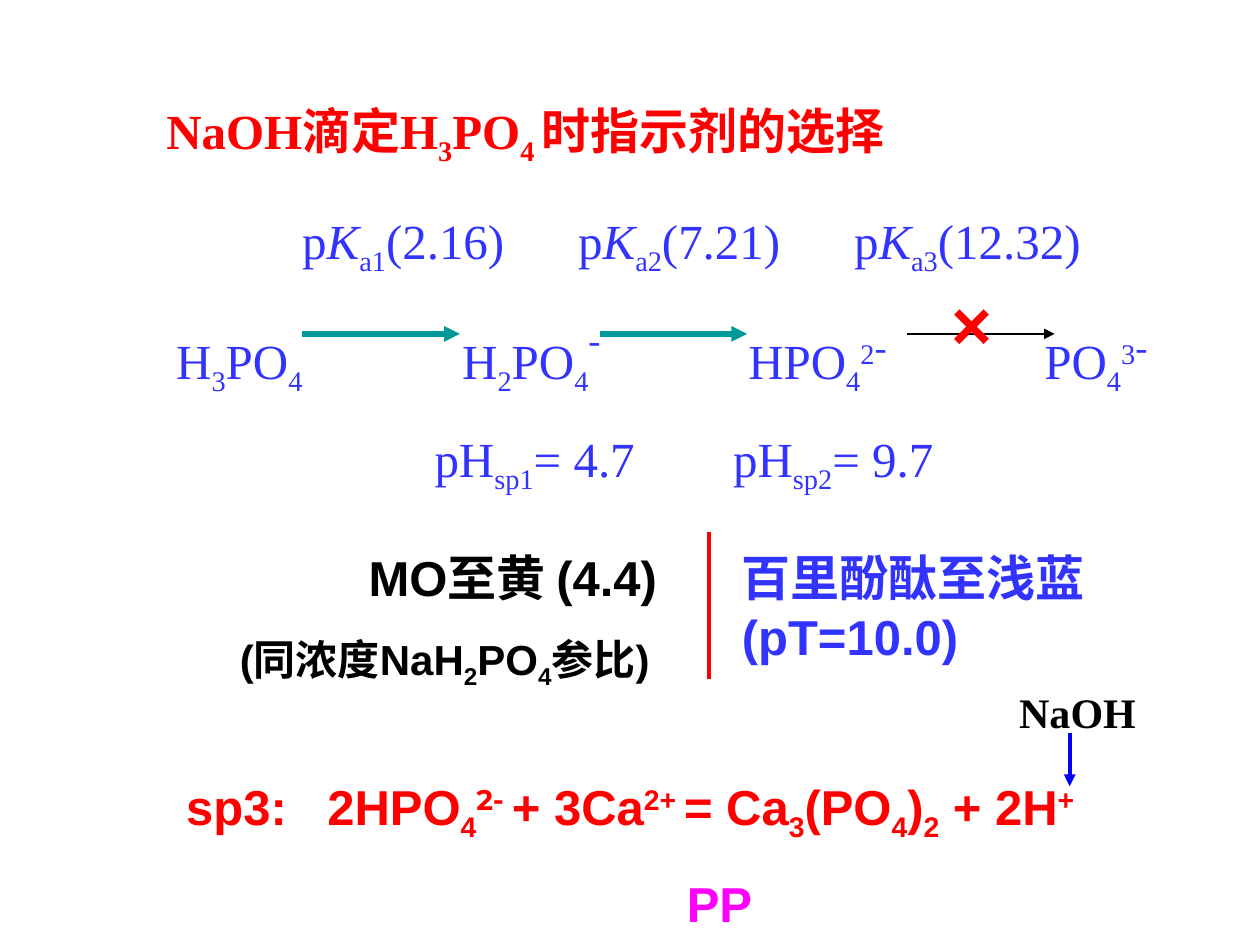
from lxml import etree
from pptx import Presentation
from pptx.dml.color import RGBColor
from pptx.enum.shapes import MSO_CONNECTOR
from pptx.enum.text import MSO_ANCHOR, MSO_AUTO_SIZE, PP_ALIGN
from pptx.oxml.ns import qn
from pptx.util import Inches, Pt

COLORS = {"red": "FF0000", "blue": "3333FF", "teal": "009999", "black": "000000",
          "pure_blue": "0000FF", "magenta": "FF00FF"}
SERIF, SANS = "Times New Roman", "Arial"

# Run styles: baseline shift in thousandths of a percent, then font values
STYLES = {
    "": (0, {}),
    "sub": (-25000, {}),
    "sup": (30000, {}),
    "sup_alt": (30000, {"name": "Montserrat"}),
    "minus": (30000, {"size": Pt(36)}),
    "high_minus": (42000, {"size": Pt(36)}),
    "italic": (0, {"italic": True}),
}

# Content: a paragraph is a list of (text, style) runs plus its layout values
TITLE = [("NaOH滴定H", ""), ("3", "sub"), ("PO", ""), ("4 ", "sub"), ("时指示剂的选择", "")]

CONSTANTS = [("a1", "(2.16)"), ("a2", "(7.21)"), ("a3", "(12.32)")]
SPECIES = [
    [("H", ""), ("3", "sub"), ("PO", ""), ("4", "sub")],
    [("H", ""), ("2", "sub"), ("PO", ""), ("4", "sub"), ("-", "high_minus")],
    [("HPO", ""), ("4", "sub"), ("2", "sup"), ("-", "minus")],
    [("PO", ""), ("4", "sub"), ("3", "sup"), ("-", "minus")],
]
END_POINTS = [("sp1", "= 4.7"), ("sp2", "= 9.7")]


def tabbed(cells):
    """Join cells into one row, each starting at its own tab stop."""
    return [run for cell in cells for run in [("\t", "")] + cell]


SCHEME = [
    {"runs": tabbed([[("p", ""), ("K", "italic"), (name, "sub"), (value, "")]
                     for name, value in CONSTANTS]), "tabs": [1.08, 3.27, 5.46]},
    {"runs": tabbed(SPECIES), "tabs": [0.08, 2.35, 4.62, 6.97], "before": 22.5},
    {"runs": tabbed([[("pH", ""), (name, "sub"), (value, "")]
                     for name, value in END_POINTS]), "tabs": [2.13, 4.5], "before": 17.5},
]

METHYL_ORANGE = [
    {"runs": [("MO至黄 (4.4)", "")], "align": PP_ALIGN.CENTER, "left": 1.08},
    {"runs": [("(同浓度NaH", ""), ("2", "sub"), ("PO", ""), ("4", "sub"), ("参比)", "")],
     "align": PP_ALIGN.CENTER, "before": 15, "size": 24},
]

REACTION = [{"runs": [
    ("sp3:\t2HPO", ""), ("4", "sub"), ("2- ", "sup_alt"), ("+ 3Ca", ""), ("2+ ", "sup"),
    ("= Ca", ""), ("3", "sub"), ("(PO", ""), ("4", "sub"), (")", ""), ("2", "sub"),
    (" + 2H", ""), ("+", "sup")], "tabs": [1.12]}]


def single(text, align=PP_ALIGN.LEFT):
    return [{"runs": [(text, "")], "align": align}]


# (paragraphs, box, font, size, colour, bold)
LABELS = [
    (SCHEME, (1.22, 1.62, 8.78, 2.17), SERIF, 28, "blue", False),
    (REACTION, (1.38, 6.11, 8.17, 0.63), SANS, 28, "red", True),
    (single("百里酚酞至浅蓝 (pT=10.0)"), (5.79, 4.3, 3.58, 1.04), SANS, 28, "blue", True),
    (METHYL_ORANGE, (1.53, 4.3, 4, 1.84), SANS, 28, "black", True),
    (single("×", PP_ALIGN.CENTER), (7.2, 2.18, 1.02, 0.77), SANS, 40, "red", True),
    (single("PP", PP_ALIGN.CENTER), (5, 6.88, 1.42, 0.57), SANS, 28, "magenta", True),
]

# (start, end, colour, width, arrowhead)
ARROW_Y = 2.65
LINES = [
    ((5.63, 4.22), (5.63, 5.39), "red", 2.25, False),
    ((2.4, ARROW_Y), (3.65, ARROW_Y), "teal", 3, True),
    ((4.76, ARROW_Y), (5.93, ARROW_Y), "teal", 3, True),
    ((7.2, ARROW_Y), (8.37, ARROW_Y), "black", 0.75, True),
]


def add_runs(paragraph, runs, font, size, color, bold):
    for text, style in runs:
        baseline, extra = STYLES[style]
        run = paragraph.add_run()
        run.text = text
        values = {"name": font, "size": Pt(size), "bold": bold, **extra}
        for attribute, value in values.items():
            setattr(run.font, attribute, value)
        run.font.color.rgb = RGBColor.from_string(COLORS[color])
        if baseline:
            run._r.get_or_add_rPr().set("baseline", str(baseline))


def write(shape, paragraphs, font, size, color, bold=True, anchor=MSO_ANCHOR.TOP):
    frame = shape.text_frame
    frame.word_wrap = True
    frame.auto_size = MSO_AUTO_SIZE.NONE
    frame.vertical_anchor = anchor
    for index, item in enumerate(paragraphs):
        paragraph = frame.add_paragraph() if index else frame.paragraphs[0]
        properties = paragraph._p.get_or_add_pPr()
        if "left" in item:
            properties.set("marL", str(Inches(item["left"])))
        if "tabs" in item:
            stops = etree.SubElement(properties, qn("a:tabLst"))
            for position in item["tabs"]:
                etree.SubElement(stops, qn("a:tab"), pos=str(Inches(position)), algn="l")
        paragraph.alignment = item.get("align", PP_ALIGN.LEFT)
        if "before" in item:
            paragraph.space_before = Pt(item["before"])
        add_runs(paragraph, item["runs"], font, item.get("size", size), color, bold)


def add_label(shapes, paragraphs, box, font, size, color, bold):
    write(shapes.add_textbox(*map(Inches, box)), paragraphs, font, size, color, bold)


def add_line(shapes, start, end, color, width, arrowhead):
    line = shapes.add_connector(MSO_CONNECTOR.STRAIGHT, *map(Inches, start + end))
    line.line.color.rgb = RGBColor.from_string(COLORS[color])
    line.line.width = Pt(width)
    if arrowhead:
        etree.SubElement(line.line._get_or_add_ln(), qn("a:tailEnd"), type="triangle")
    etree.SubElement(line._element.spPr, qn("a:effectLst"))


def main():
    presentation = Presentation()
    presentation.slide_width, presentation.slide_height = Inches(10), Inches(7.5)
    slide = presentation.slides.add_slide(presentation.slide_layouts[5])
    shapes = slide.shapes

    # Title
    title = shapes.title
    title_box = {"left": 1.22, "top": 0.68, "width": 8.5, "height": 0.77}
    for side, value in title_box.items():
        setattr(title, side, Inches(value))
    write(title, [{"runs": TITLE}], SERIF, 28, "red", anchor=MSO_ANCHOR.MIDDLE)

    # Divider and reaction arrows
    for line in LINES:
        add_line(shapes, *line)

    # Dissociation scheme, indicators, reaction and cross
    for label in LABELS:
        add_label(shapes, *label)

    # Titrant with its arrow
    titrant = shapes.add_group_shape().shapes
    add_label(titrant, single("NaOH"), (7.99, 5.4, 1.25, 0.5), SERIF, 24, "black", True)
    add_line(titrant, (8.49, 5.82), (8.49, 6.24), "pure_blue", 2.25, True)

    presentation.save("out.pptx")


if __name__ == "__main__":
    main()
